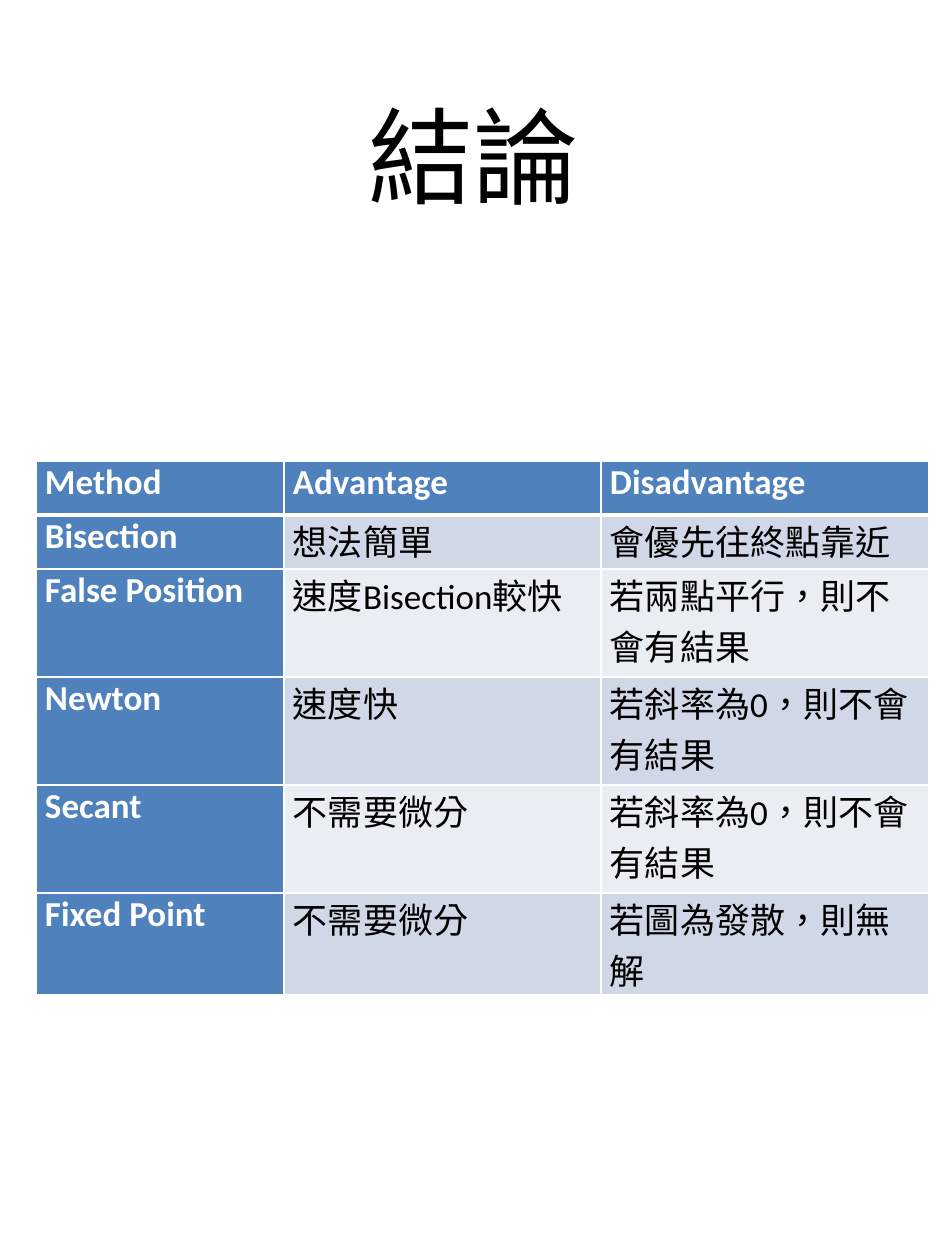
from lxml import etree
from pptx import Presentation
from pptx import util as u
from pptx.dml.color import RGBColor
from pptx.enum import text
from pptx.oxml import ns

PX = 914400 // 126
LATIN = "Calibri"
HAN = "Noto Sans CJK SC"
WHITE, BLACK, BLUE = "FFFFFF", "000000", "4F81BD"
BANDS = ["D0D8E8", "E9EDF4"]
COLUMNS = [248, 317, 328]
ROWS = [54, 54, 108, 108, 108, 54]
METHODS = [
    ["Method", "Advantage", "Disadvantage"],
    ["Bisection", "想法簡單", "會優先往終點靠近"],
    ["False Position", "速度Bisection較快", "若兩點平行，則不會有結果"],
    ["Newton", "速度快", "若斜率為0，則不會有結果"],
    ["Secant", "不需要微分", "若斜率為0，則不會有結果"],
    ["Fixed Point", "不需要微分", "若圖為發散，則無解"],
]


def px(length):
    return u.Emu(length * PX)


def rgb(value):
    return RGBColor.from_string(value)


def add_run(paragraph, words, size, color, bold=False, latin=LATIN):
    run = paragraph.add_run()
    run.text = words
    run.font.size = u.Pt(size)
    run.font.bold = bold
    run.font.name = latin
    run.font.color.rgb = rgb(color)
    properties = run.font._element
    properties.set("lang", "en-US" if words.isascii() else "zh-TW")
    etree.SubElement(properties, ns.qn("a:ea")).set("typeface", HAN)


def set_borders(cell, widths):
    properties = cell._tc.get_or_add_tcPr()
    for index, (side, width) in enumerate(widths.items()):
        line = etree.Element(ns.qn(f"a:ln{side}"), w=str(u.Pt(width)))
        fill = etree.SubElement(line, ns.qn("a:solidFill"))
        etree.SubElement(fill, ns.qn("a:srgbClr"), val=WHITE)
        properties.insert(index, line)


def add_title(slide, left, top, width, height):
    title = slide.shapes.title
    title.left, title.top = px(left), px(top)
    title.width, title.height = px(width), px(height)
    frame = title.text_frame
    frame.auto_size = text.MSO_AUTO_SIZE.NONE
    frame.vertical_anchor = text.MSO_ANCHOR.MIDDLE
    heading = frame.paragraphs[0]
    heading.alignment = text.PP_ALIGN.CENTER
    add_run(heading, "結論", 60, BLACK, latin=HAN)


def add_methods(slide, left, top):
    table = slide.shapes.add_table(
        len(ROWS), len(COLUMNS), px(left), px(top), px(sum(COLUMNS)), px(sum(ROWS))
    ).table
    for column, width in zip(table.columns, COLUMNS):
        column.width = px(width)
    for r, (row, height, entries) in enumerate(zip(table.rows, ROWS, METHODS)):
        row.height = px(height)
        for c, (cell, words) in enumerate(zip(row.cells, entries)):
            heading = r == 0 or c == 0
            cell.margin_left = cell.margin_right = px(9)
            cell.margin_top = cell.margin_bottom = 0
            cell.fill.solid()
            cell.fill.fore_color.rgb = rgb(BLUE if heading else BANDS[(r - 1) % 2])
            set_borders(cell, {"L": 1, "R": 1, "T": 3 if r == 1 else 1, "B": 3 if r == 0 else 1})
            add_run(cell.text_frame.paragraphs[0], words, 20, WHITE if heading else BLACK, heading)


def main():
    deck = Presentation()
    deck.slide_width, deck.slide_height = px(945), px(1260)
    slide = deck.slides.add_slide(deck.slide_layouts.get_by_name("Title Only"))
    add_title(slide, 48, 50, 850, 210)
    add_methods(slide, 36, 461)
    deck.save("out.pptx")


if __name__ == "__main__":
    main()
